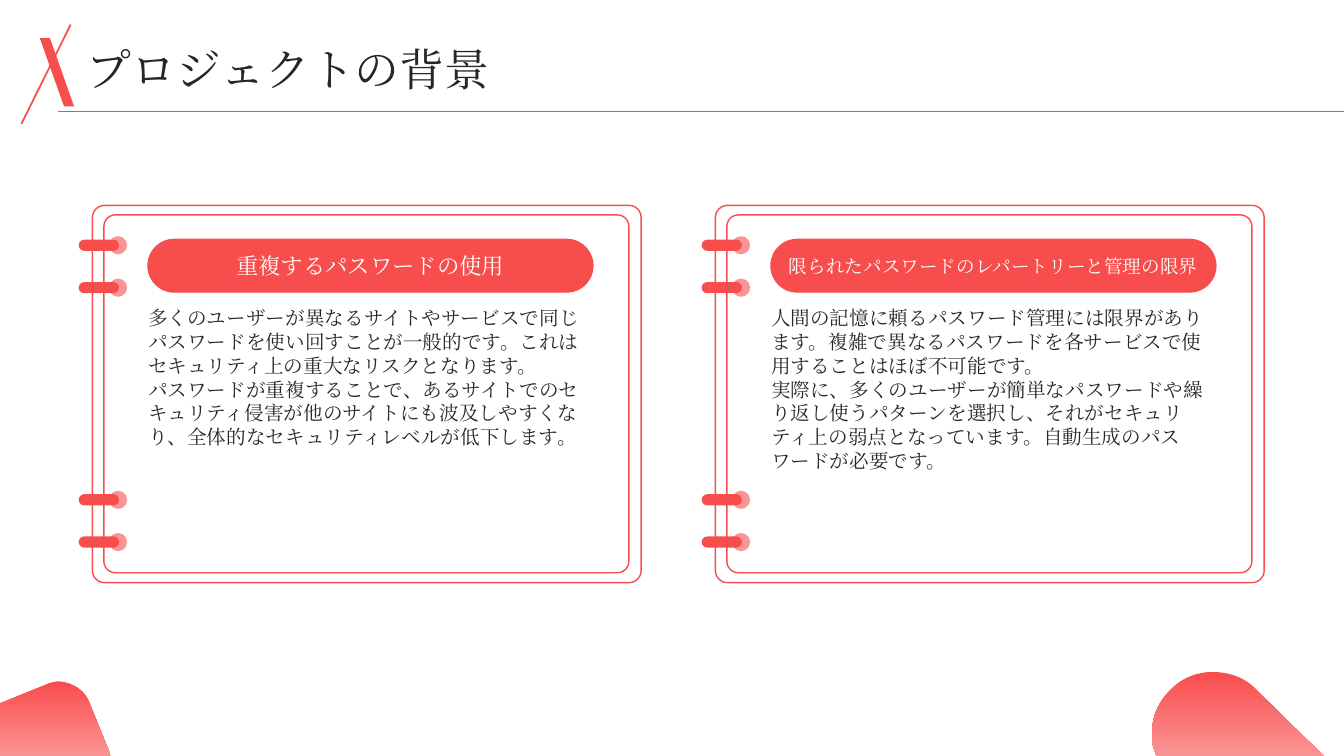
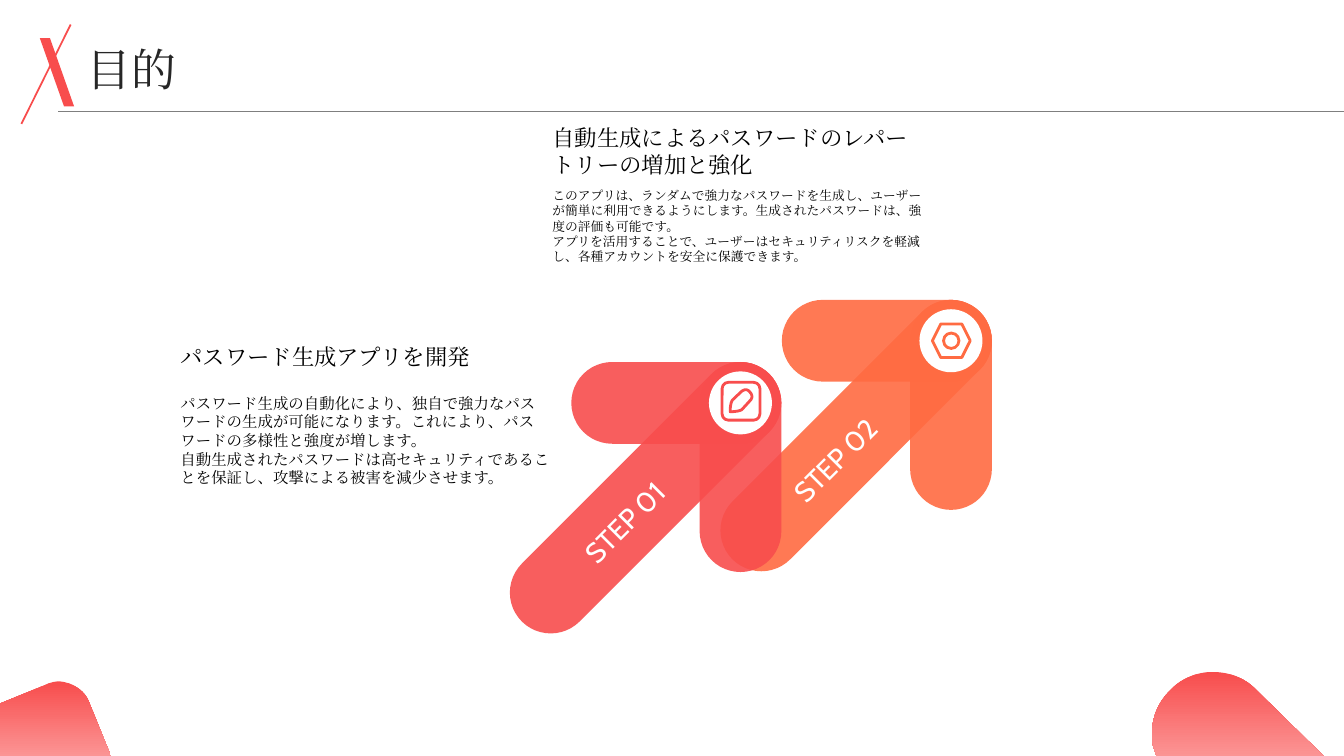
import dataclasses
import lxml.etree
import pptx
import pptx.dml.color
import pptx.enum.shapes
import pptx.enum.text
import pptx.oxml.ns
import pptx.util

Pt = pptx.util.Pt
KIND = pptx.enum.shapes.MSO_SHAPE
ALIGN = pptx.enum.text.PP_ALIGN
ANCHOR = pptx.enum.text.MSO_ANCHOR
RGB = pptx.dml.color.RGBColor.from_string
qn = pptx.oxml.ns.qn


@dataclasses.dataclass(frozen=True)
class Theme:
    red: str = "F84D4D"
    pink: str = "FB9494"
    orange: str = "FF6B42"
    white: str = "FFFFFF"
    black: str = "000000"
    ink: str = "262626"
    grey: str = "7F7F7F"
    font: str = "Cambria"
    step_font: str = "Cabin"
    title: float = 32
    step: float = 20
    heading: float = 16
    long_heading: float = 13.3
    body: float = 14
    note: float = 11
    small_note: float = 9.1
    leading: float = 1.21


theme = Theme()


def paint(shape, fill=None, line=None, width=1):
    shape.shadow.inherit = False
    if fill:
        shape.fill.solid()
        shape.fill.fore_color.rgb = RGB(fill)
    else:
        shape.fill.background()
    if line:
        shape.line.color.rgb = RGB(line)
        shape.line.width = Pt(width)
    else:
        shape.line.fill.background()
    return shape


def write(shape, text, size, color, anchor=ANCHOR.MIDDLE, align=ALIGN.LEFT, font=theme.font):
    frame = shape.text_frame
    frame.text = text
    frame.word_wrap = True
    frame.auto_size = pptx.enum.text.MSO_AUTO_SIZE.NONE
    frame.vertical_anchor = anchor
    frame.margin_left = frame.margin_right = frame.margin_top = frame.margin_bottom = 0
    for paragraph in frame.paragraphs:
        paragraph.alignment = align
        paragraph.line_spacing = Pt(size * theme.leading)
        paragraph.font.size = Pt(size)
        paragraph.font.color.rgb = RGB(color)
        paragraph.font.name = font
        # East Asian characters take the same typeface
        defaults = paragraph._p.pPr.find(qn("a:defRPr"))
        lxml.etree.SubElement(defaults, qn("a:ea")).set("typeface", font)


# Curved outlines: a start point, then lines (one point) and Bézier curves (three points)
outlines = {
    "left corner": [
        (42.5, 486.7), [(51, 487.5), (60, 492.5), (63.4, 501)], [(79.2, 540)], [(0, 540)],
        [(0, 502.6)], [(33, 489)], [(36, 487.5), (39.5, 486.7), (42.5, 486.7)]],
    "right corner": [
        (866, 480), [(877.7, 480), (889, 484), (897, 492.5)], [(945.4, 540)], [(826, 540)],
        [(823.7, 533)], [(821, 518), (825, 504), (836, 493)],
        [(844, 484.6), (855, 480), (866, 480)]],
    "pen": [
        (521.6, 294.1), [(521.6, 289.6), (522.4, 286.6), (523.4, 285.6)], [(529.2, 280.1)],
        [(531.4, 277.9), (533.9, 277.9), (535.4, 279.8)],
        [(537.7, 282.1), (537.7, 284.6), (535.4, 286.6)], [(529.9, 292.6)],
        [(528.4, 293.6), (524.9, 294.1), (521.6, 294.1)]],
}
UNITS = 100  # outline units per point
STEPS = 16
polygons = {}
for part, (start, *segments) in outlines.items():
    points = [start]
    for segment in segments:
        if len(segment) == 1:
            points += segment
            continue
        a, (b, c, d) = points[-1], segment
        for step in range(1, STEPS + 1):
            t = step / STEPS
            u = 1 - t
            points.append(tuple(
                u**3 * a[i] + 3 * u * u * t * b[i] + 3 * u * t * t * c[i] + t**3 * d[i]
                for i in (0, 1)))
    polygons[part] = [(x * UNITS, y * UNITS) for x, y in points]

presentation = pptx.Presentation()
presentation.slide_width = Pt(960)
presentation.slide_height = Pt(540)

# Shared frame: corners, title, accent and rules
slides = []
for title in ("プロジェクトの背景", "目的"):
    slide = presentation.slides.add_slide(presentation.slide_layouts[5])
    slides.append(slide)

    for corner in ("left corner", "right corner"):
        points = polygons[corner]
        builder = slide.shapes.build_freeform(*points[0], scale=Pt(1) / UNITS)
        builder.add_line_segments(points[1:])
        blob = paint(builder.convert_to_shape())
        blob.fill.gradient()
        blob.fill.gradient_angle = 270
        for stop, color in zip(blob.fill.gradient_stops, (theme.red, theme.pink)):
            stop.color.rgb = RGB(color)

    heading = slide.shapes.title
    heading.left, heading.top, heading.width, heading.height = map(Pt, (62, 32, 845, 34))
    write(heading, title, theme.title, theme.ink)

    accent = paint(slide.shapes.add_shape(
        KIND.PARALLELOGRAM, *map(Pt, (28.5, 27.2, 24.5, 48.8))), theme.red)
    accent.adjustments[0] = 0.705
    accent._element.spPr.xfrm.set("flipH", "1")

    for ends, color, width in (((50.5, 17.5, 15.3, 88.5), theme.red, 1.25),
                               ((41.5, 79.6, 960, 79.6), theme.grey, 0.75)):
        rule = slide.shapes.add_connector(
            pptx.enum.shapes.MSO_CONNECTOR.STRAIGHT, *map(Pt, ends))
        rule.line.color.rgb = RGB(color)
        rule.line.width = Pt(width)
        lxml.etree.SubElement(rule._element.spPr, qn("a:effectLst"))

background, purpose = slides

# Background slide: two ring-bound cards
cards = [
    ("重複するパスワードの使用", theme.heading,
     "多くのユーザーが異なるサイトやサービスで同じパスワードを使い回すことが一般的です。"
     "これはセキュリティ上の重大なリスクとなります。\n"
     "パスワードが重複することで、あるサイトでのセキュリティ侵害が他のサイトにも"
     "波及しやすくなり、全体的なセキュリティレベルが低下します。"),
    ("限られたパスワードのレパートリーと管理の限界", theme.long_heading,
     "人間の記憶に頼るパスワード管理には限界があります。"
     "複雑で異なるパスワードを各サービスで使用することはほぼ不可能です。\n"
     "実際に、多くのユーザーが簡単なパスワードや繰り返し使うパターンを選択し、"
     "それがセキュリティ上の弱点となっています。自動生成のパスワードが必要です。"),
]
CARD_PITCH = 445
for index, (label, label_size, body) in enumerate(cards):
    left = 66 + index * CARD_PITCH
    for page in ((left, 146.7, 392, 269.5), (left + 8.2, 153.5, 375, 255.6)):
        sheet = paint(background.shapes.add_shape(
            KIND.ROUNDED_RECTANGLE, *map(Pt, page)), theme.white, theme.red)
        sheet.adjustments[0] = 0.032

    for ring_y in (175.2, 205.5, 357, 387.2):
        paint(background.shapes.add_shape(
            KIND.OVAL, *map(Pt, (left + 11.8, ring_y - 6.5, 13, 13))), theme.pink)
        binder = paint(background.shapes.add_shape(
            KIND.ROUNDED_RECTANGLE, *map(Pt, (left - 9.8, ring_y - 4, 28.8, 8))), theme.red)
        binder.adjustments[0] = 0.5

    pill = paint(background.shapes.add_shape(
        KIND.ROUNDED_RECTANGLE, *map(Pt, (left + 39.7, 171, 317.8, 37.6))),
        theme.red, theme.red)
    pill.adjustments[0] = 0.5
    write(pill, label, label_size, theme.white, align=ALIGN.CENTER)

    copy_box = background.shapes.add_textbox(*map(Pt, (left + 39.8, 218.7, 317.5, 162)))
    write(copy_box, body, theme.body, theme.ink, ANCHOR.TOP)

# Purpose slide: heading and explanation of each step
explanations = [
    (394.6, 81.4, "自動生成によるパスワードのレパートリーの増加と強化", theme.small_note,
     "このアプリは、ランダムで強力なパスワードを生成し、ユーザーが簡単に利用できるようにします。"
     "生成されたパスワードは、強度の評価も可能です。\n"
     "アプリを活用することで、ユーザーはセキュリティリスクを軽減し、"
     "各種アカウントを安全に保護できます。"),
    (128.9, 228.7, "パスワード生成アプリを開発", theme.note,
     "パスワード生成の自動化により、独自で強力なパスワードの生成が可能になります。"
     "これにより、パスワードの多様性と強度が増します。\n"
     "自動生成されたパスワードは高セキュリティであることを保証し、"
     "攻撃による被害を減少させます。"),
]
for left, top, label, note_size, note in explanations:
    label_box = purpose.shapes.add_textbox(*map(Pt, (left, top, 265, 52.5)))
    write(label_box, label, theme.heading, theme.black)
    note_box = purpose.shapes.add_textbox(*map(Pt, (left, top + 52.5, 265, 80.6)))
    write(note_box, note, note_size, theme.black, ANCHOR.TOP)

# Arrows: three bars share the round cap at the tip
BAR = 58.4
DIAGONAL = 0.5 ** 0.5
bars = [(150, 90, 0, 1), (250, -45, -DIAGONAL, DIAGONAL), (150, 0, -1, 0)]
arrows = [("STEP 02", theme.orange, 679.3, 243.4), ("STEP 01", theme.red, 528.9, 287.8)]
for step_name, color, tip_x, tip_y in arrows:
    for length, angle, dx, dy in bars:
        reach = (length - BAR) / 2
        bar = paint(purpose.shapes.add_shape(KIND.ROUNDED_RECTANGLE, *map(Pt, (
            tip_x + dx * reach - length / 2, tip_y + dy * reach - BAR / 2, length, BAR))), color)
        bar.adjustments[0] = 0.5
        bar.rotation = angle
        tint = bar._element.spPr.find(qn("a:solidFill"))[0]
        lxml.etree.SubElement(tint, qn("a:alpha")).set("val", "90000")

    paint(purpose.shapes.add_shape(
        KIND.OVAL, *map(Pt, (tip_x - 22.5, tip_y - 22.5, 45, 45))), theme.white)
    step_label = purpose.shapes.add_textbox(
        *map(Pt, (tip_x - 83 - 63, tip_y + 85 - 15, 126, 30)))
    step_label.rotation = -45
    write(step_label, step_name, theme.step, theme.white, align=ALIGN.CENTER,
          font=theme.step_font)

# Icons on the tips: nut for step 02, pen in a square for step 01
for kind, color, center_x, center_y, width, height in (
        (KIND.HEXAGON, theme.orange, 679.5, 243.4, 27, 24),
        (KIND.OVAL, theme.orange, 679.5, 243.4, 11, 11),
        (KIND.ROUNDED_RECTANGLE, theme.red, 529.3, 286.6, 27, 27)):
    paint(purpose.shapes.add_shape(kind, *map(Pt, (
        center_x - width / 2, center_y - height / 2, width, height))), line=color, width=2)
builder = purpose.shapes.build_freeform(*polygons["pen"][0], scale=Pt(1) / UNITS)
builder.add_line_segments(polygons["pen"][1:])
paint(builder.convert_to_shape(), line=theme.red, width=2)

presentation.save("out.pptx")
